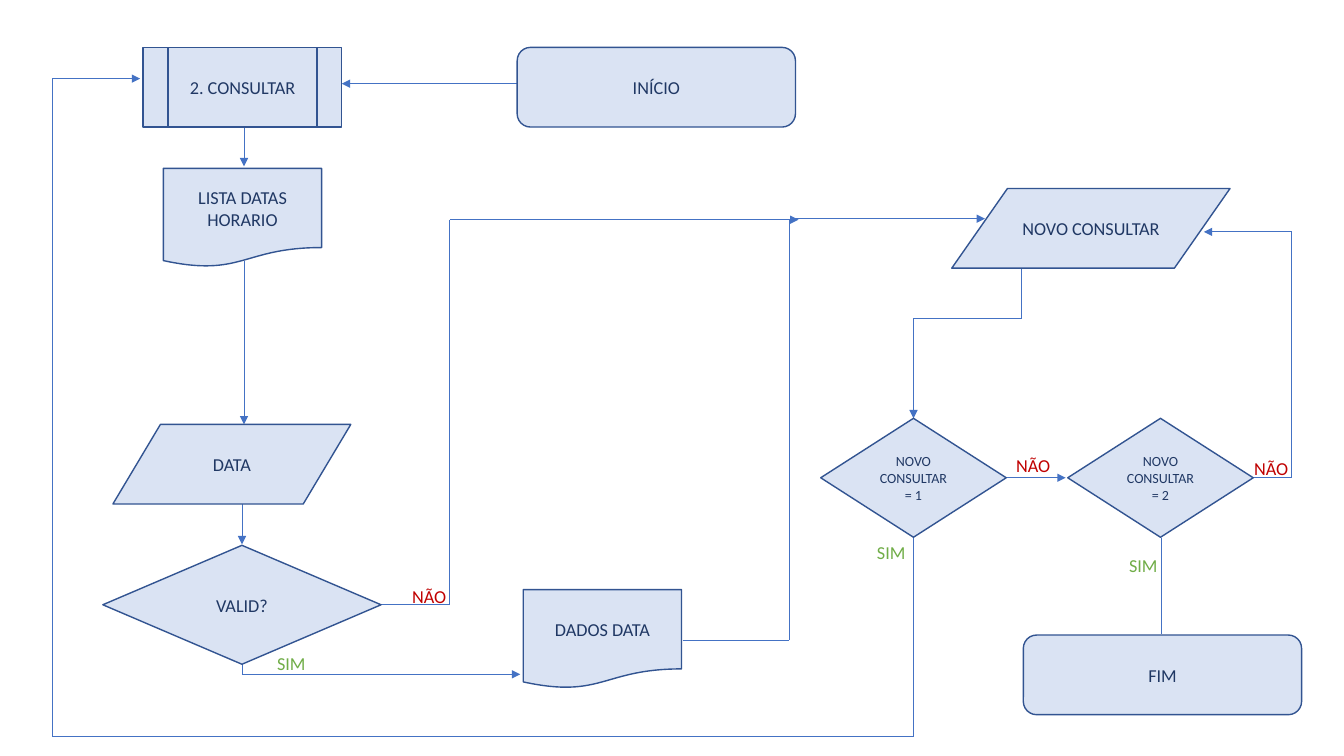
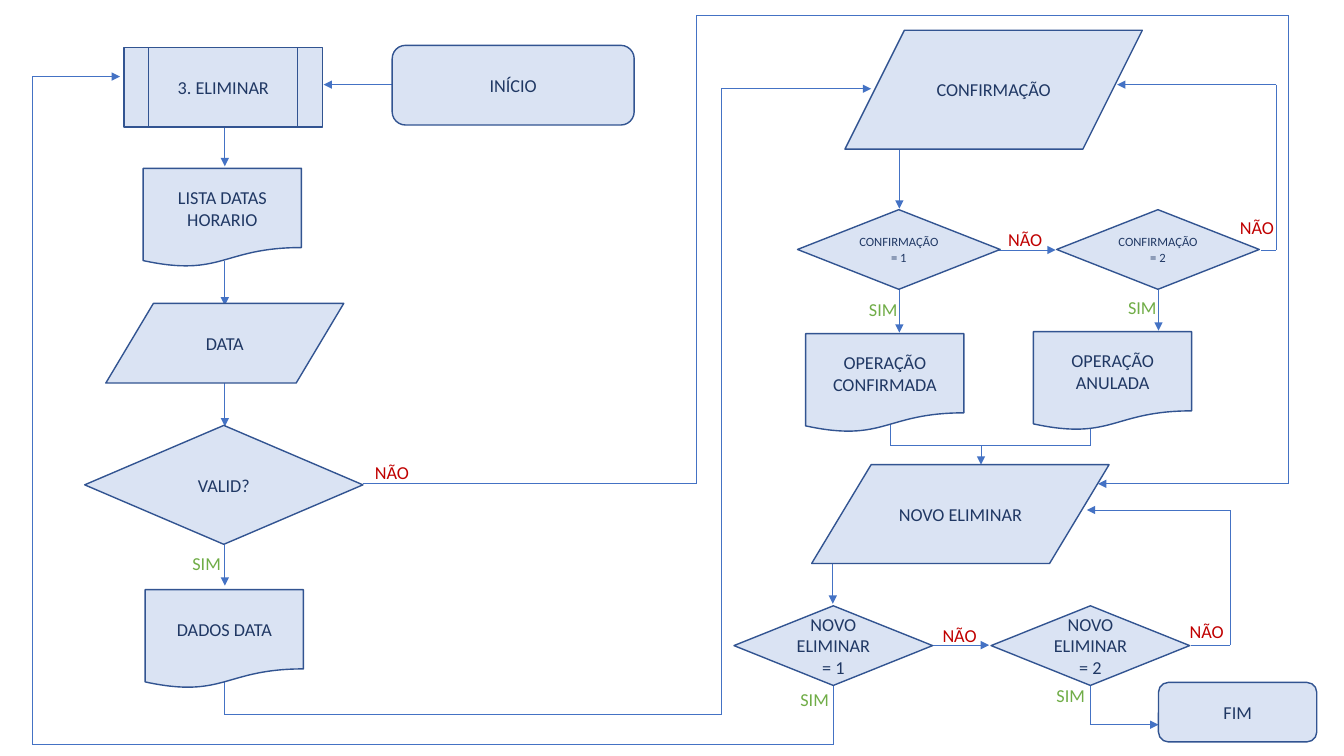
from pptx import Presentation
from pptx.dml.color import RGBColor
from pptx.enum.shapes import MSO_CONNECTOR as Link, MSO_SHAPE as Shape
from pptx.enum.text import MSO_ANCHOR as Anchor, MSO_AUTO_SIZE as AutoSize, PP_ALIGN as Align
from pptx.oxml.ns import qn
from pptx.util import Inches, Pt
from lxml.etree import SubElement

# Grid: the slide is 133.3 columns by 75 rows
COLUMNS, ROWS = 133.3, 75
CELL = Inches(0.1)

# Shared look
FONT, TEXT_SIZE = "Calibri", 13
FILL, OUTLINE, INK, ARROW = "DAE3F3", "325491", "203864", "4472C4"
ANSWERS = {"SIM": ("70AD47", 7.3), "NÃO": ("C00000", 5.4)}  # colour, columns
ANSWER_ROWS = 3.2

# Step kinds: preset, usual columns and rows
KINDS = {
    "process": (Shape.FLOWCHART_PREDEFINED_PROCESS, 19.7, 7.9),
    "document": (Shape.FLOWCHART_DOCUMENT, 15.7, 9.8),
    "decision": (Shape.FLOWCHART_DECISION, 27.6, 11.8),
    "data": (Shape.FLOWCHART_DATA, 23.6, 7.9),
    "terminal": (Shape.FLOWCHART_ALTERNATE_PROCESS, 27.6, 7.9),
}

# Steps: kind, text, column, row, then any size or text size that differs
# Routes: start, first axis, stops on alternating axes, arrowhead at the end
CHARTS = [
    {
        "steps": [
            ("process", "2. CONSULTAR", 14.2, 4.7, {}),
            ("terminal", "INÍCIO", 51.3, 4.7, {}),
            ("document", "LISTA DATAS HORARIO", 16.2, 16.7, {}),
            ("data", "DATA", 11.2, 42.1, {}),
            ("decision", "VALID?", 10.2, 54.1, {}),
            ("document", "DADOS DATA", 51.9, 58.5, {}),
            ("data", "NOVO CONSULTAR", 94.4, 18.7, {"columns": 27.6}),
            ("decision", "NOVO CONSULTAR\n= 1", 81.4, 41.5, {"columns": 18.4, "size": 10}),
            ("decision", "NOVO CONSULTAR\n= 2", 105.9, 41.5, {"columns": 18.4, "size": 10}),
            ("terminal", "FIM", 101.5, 63, {}),
        ],
        "answers": [
            ("SIM", 26.5, 64.2), ("NÃO", 39.9, 57.6), ("NÃO", 99.8, 44.6),
            ("SIM", 86, 53.2), ("NÃO", 123.4, 44.9), ("SIM", 111, 54.5),
        ],
        "routes": [
            ((51.3, 8.3), "h", [33.9], True),
            ((24.2, 12.6), "v", [16.5], True),
            ((24.2, 25.9), "v", [42.1], True),
            ((24, 50), "v", [54], True),
            ((24, 65.7), "v", [66.9, 51.6], True),
            ((37.7, 60), "h", [44.6, 21.8, 79.2], True),
            ((67.7, 63.5), "h", [78.3, 21.7], False),
            ((78.8, 21.7), "h", [97.7], True),
            ((101.3, 26.6), "v", [31.6, 90.6, 41.5], True),
            ((99.8, 47.4), "h", [105.7], True),
            ((123, 47.4), "h", [128.1, 23, 119.4], True),
            ((115.2, 53.4), "v", [62.9], False),
            ((90.6, 53.3), "v", [73.1, 5.2, 7.8, 13.9], True),
        ],
    },
    {
        "steps": [
            ("process", "3. ELIMINAR", 12.3, 4.7, {}),
            ("terminal", "INÍCIO", 38.9, 4.5, {"columns": 24}),
            ("document", "LISTA DATAS HORARIO", 14.2, 16.7, {}),
            ("data", "DATA", 10.5, 30.1, {}),
            ("decision", "VALID?", 8.4, 42.2, {}),
            ("document", "DADOS DATA", 14.4, 58.5, {}),
            ("data", "CONFIRMAÇÃO", 83.8, 3, {"columns": 29.5, "rows": 11.8}),
            ("decision", "CONFIRMAÇÃO\n= 1", 79.1, 20.8, {"columns": 20.1, "rows": 7.9, "size": 9}),
            ("decision", "CONFIRMAÇÃO\n= 2", 104.8, 20.8, {"columns": 20.1, "rows": 7.9, "size": 9}),
            ("document", "OPERAÇÃO CONFIRMADA", 79.9, 33.1, {}),
            ("document", "OPERAÇÃO ANULADA", 102.5, 32.9, {}),
            ("data", "NOVO ELIMINAR", 80.5, 46.1, {"columns": 29.5, "rows": 9.8}),
            ("decision", "NOVO ELIMINAR\n= 1", 72.8, 60.1, {"columns": 19.7, "rows": 7.9}),
            ("decision", "NOVO ELIMINAR\n= 2", 98.3, 60.1, {"columns": 19.7, "rows": 7.9}),
            ("terminal", "FIM", 114.9, 67.7, {"columns": 15.7, "rows": 5.9}),
        ],
        "answers": [
            ("SIM", 18.1, 54.3), ("NÃO", 36.2, 45.3), ("NÃO", 99, 22.2),
            ("NÃO", 122, 21), ("SIM", 85.2, 29.1), ("SIM", 110.9, 28.9),
            ("NÃO", 92.5, 61.4), ("NÃO", 117, 61), ("SIM", 78.4, 67.8),
            ("SIM", 103.8, 67.4),
        ],
        "routes": [
            ((38.9, 8.4), "h", [32.1], True),
            ((22.3, 12.6), "v", [16.5], True),
            ((22.3, 25.9), "v", [30.3], True),
            ((22.3, 37.9), "v", [42.3], True),
            ((22.3, 54.1), "v", [58.1], True),
            ((36, 48), "h", [69.1, 1.5, 127.8, 48, 108.9], True),
            ((22.3, 67.7), "v", [70.9, 71.5, 8.8, 86.4], True),
            ((89.2, 14.8), "v", [20.7], True),
            ((98.8, 24.8), "h", [104.7], True),
            ((125.1, 24.8), "h", [126.6, 8.4, 110.8], True),
            ((89.2, 28.7), "v", [33], True),
            ((114.9, 28.8), "v", [32.8], True),
            ((88.3, 42.2), "v", [44.2, 108.1, 42.6], False),
            ((97.3, 44.2), "v", [46.1], True),
            ((82.6, 56), "v", [59.9], True),
            ((92.2, 64), "h", [98.1], True),
            ((118.1, 64), "h", [122, 50.6, 107.8], True),
            ((108.1, 67.9), "v", [71.9, 114.9], True),
            ((82.7, 67.9), "v", [73.8, 3.2, 7.6, 11.9], True),
        ],
    },
]


def color(hex_text):
    return RGBColor.from_string(hex_text)


def cells(*lengths):
    return [round(length * CELL) for length in lengths]


def write(frame, text, size, ink, align, **frame_format):
    frame.text = text
    for name, value in {"word_wrap": True, **frame_format}.items():
        setattr(frame, name, value)
    for paragraph in frame.paragraphs:
        paragraph.alignment = align
        for name, value in {"name": FONT, "size": Pt(size)}.items():
            setattr(paragraph.font, name, value)
        paragraph.font.color.rgb = color(ink)


def add_step(slide, kind, text, column, row, change):
    preset, columns, rows = KINDS[kind]
    size = change.get("columns", columns), change.get("rows", rows)
    step = slide.shapes.add_shape(preset, *cells(column, row, *size))
    step.shadow.inherit = False
    step.fill.solid()
    step.fill.fore_color.rgb = color(FILL)
    step.line.color.rgb = color(OUTLINE)
    step.line.width = Pt(1)
    write(step.text_frame, text, change.get("size", TEXT_SIZE), INK, Align.CENTER,
          vertical_anchor=Anchor.MIDDLE)


def add_answer(slide, text, column, row):
    ink, columns = ANSWERS[text]
    answer = slide.shapes.add_textbox(*cells(column, row, columns, ANSWER_ROWS))
    write(answer.text_frame, text, TEXT_SIZE, ink, Align.LEFT,
          auto_size=AutoSize.SHAPE_TO_FIT_TEXT)


def add_route(slide, start, axis, stops, arrowhead):
    # Each stop changes one coordinate, so every leg is horizontal or vertical
    here = start
    for number, stop in enumerate(stops, 1):
        there = (stop, here[1]) if axis == "h" else (here[0], stop)
        leg = slide.shapes.add_connector(Link.STRAIGHT, *cells(*here, *there))
        leg.line.color.rgb = color(ARROW)
        leg.line.width = Pt(0.5)
        properties = leg._element.spPr
        if arrowhead and number == len(stops):
            SubElement(properties.find(qn("a:ln")), qn("a:tailEnd"), type="triangle")
        SubElement(properties, qn("a:effectLst"))
        here, axis = there, "v" if axis == "h" else "h"


# Build the slides: routes lie behind the steps, answers in front
deck = Presentation()
deck.slide_width, deck.slide_height = cells(COLUMNS, ROWS)
blank = deck.slide_layouts[6]
for chart in CHARTS:
    slide = deck.slides.add_slide(blank)
    for part, add in (("routes", add_route), ("steps", add_step), ("answers", add_answer)):
        for item in chart[part]:
            add(slide, *item)

deck.save("out.pptx")
